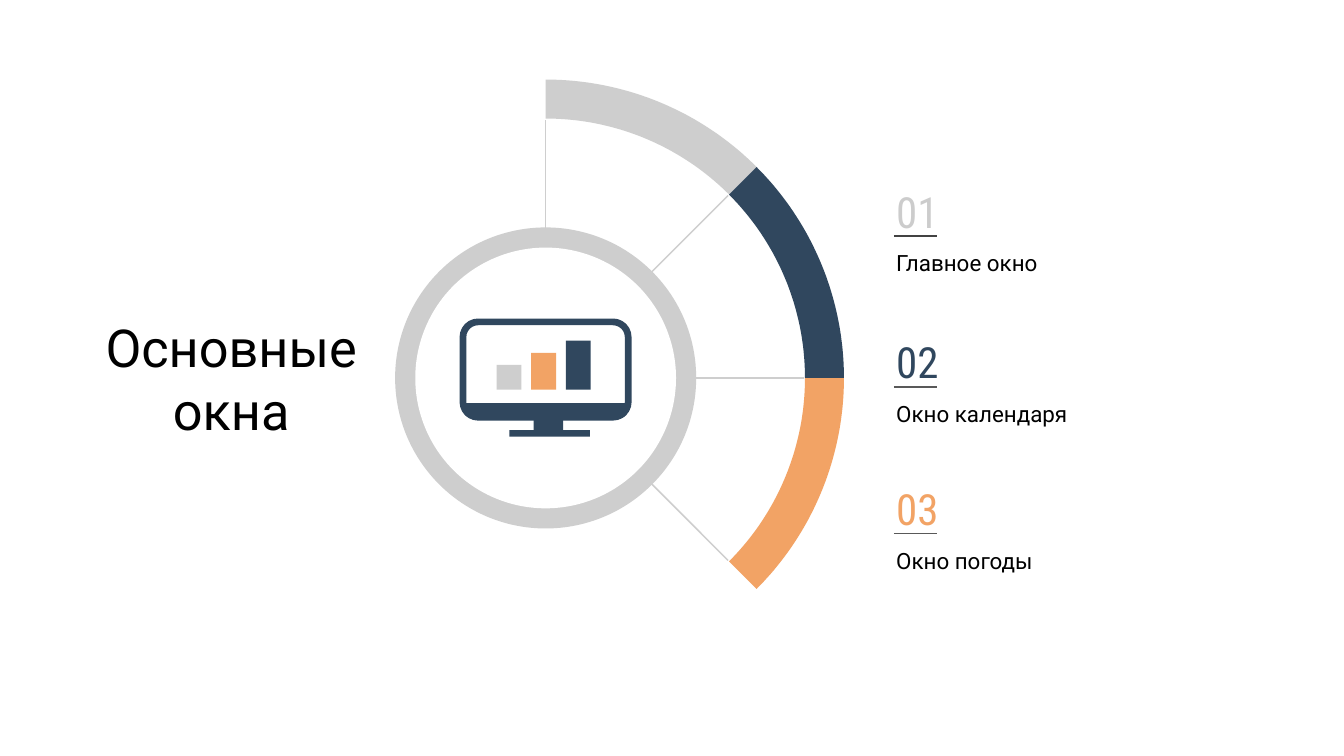
from dataclasses import dataclass
from math import cos, radians, sin

from lxml.etree import SubElement
from pptx import Presentation
from pptx.dml.color import RGBColor
from pptx.enum.shapes import MSO_CONNECTOR as Link, MSO_SHAPE as Kind
from pptx.enum.text import MSO_ANCHOR as Anchor, MSO_AUTO_SIZE as Fit, PP_ALIGN as Align
from pptx.oxml.ns import qn
from pptx.util import Inches, Pt

# Grid of 100 columns by 56.25 rows, each cell a tenth of an inch
COLS, ROWS, CELL = 100, 56.25, 0.1
INK = {"gray": "CECECE", "pale": "CCCCCC", "navy": "30475E", "orange": "F2A365",
       "white": "FFFFFF", "black": "000000", "dark": "434343", "rule": "595959"}
MID = (40.6, ROWS / 2)
INNER, OUTER = 19.3, 22.2
HUB, FACE = 11.2, 9.7


@dataclass
class Box:
    col: float
    row: float
    wide: float
    high: float


@dataclass
class Item:
    num: str
    name: str
    tint: str
    line: str
    top: float
    rule: float


@dataclass
class Sector:
    start: float
    tint: str


@dataclass
class Block:
    box: Box
    tint: str


ITEMS = [
    Item("01", "Главное окно", "pale", "dark", 13.8, 17.55),
    Item("02", "Окно календаря", "navy", "rule", 24.95, 28.8),
    Item("03", "Окно погоды", "orange", "rule", 35.85, 39.7),
]
SECTORS = [Sector(-90, "gray"), Sector(-45, "navy"), Sector(0, "orange")]
STAND = [Block(Box(39.7, 30.2, 2.2, 2.1), "navy"), Block(Box(37.9, 32, 6, 0.5), "navy")]
BARS = [Block(Box(36.95 + 2.58 * i, 29 - high, 1.85, high), tint)
        for i, (high, tint) in enumerate([(1.85, "gray"), (2.75, "orange"), (3.65, "navy")])]


def size(cells: float) -> int:
    return Inches(cells * CELL)


def color(name: str) -> RGBColor:
    return RGBColor.from_string(INK[name])


def frame(box: Box) -> list[int]:
    return [size(n) for n in (box.col, box.row, box.wide, box.high)]


def polar(radius: float, angle: float) -> tuple[float, float]:
    turn = radians(angle)
    return MID[0] + radius * cos(turn), MID[1] + radius * sin(turn)


def paint(shape, tint: str) -> None:
    shape.shadow.inherit = False
    shape.fill.solid()
    shape.fill.fore_color.rgb = color(tint)
    shape.line.fill.background()


def solid(kind: Kind, box: Box, tint: str):
    shape = shapes.add_shape(kind, *frame(box))
    paint(shape, tint)
    return shape


def disc(radius: float, tint: str) -> None:
    solid(Kind.OVAL, Box(MID[0] - radius, MID[1] - radius, 2 * radius, 2 * radius), tint)


def arc(part: Sector, sweep: int = 45) -> None:
    turns = [part.start + step for step in range(sweep + 1)]
    points = [polar(OUTER, turn) for turn in turns]
    points += [polar(INNER, turn) for turn in reversed(turns)]
    spots = [(size(x), size(y)) for x, y in points]
    shape = shapes.build_freeform(*spots[0], scale=1.0)
    shape.add_line_segments(spots[1:], close=True)
    paint(shape.convert_to_shape(), part.tint)


def rule(start: tuple[float, float], end: tuple[float, float], tint: str, width: float) -> None:
    line = shapes.add_connector(Link.STRAIGHT, *[size(n) for n in (*start, *end)])
    line.line.color.rgb = color(tint)
    line.line.width = Pt(width)
    SubElement(line._element.spPr, qn("a:effectLst"))


def write(shape, text: str, points: float, tint: str, font: str = "Roboto",
          anchor: Anchor = Anchor.MIDDLE, align: Align = Align.LEFT) -> None:
    body = shape.text_frame
    body.text = text
    body.word_wrap = True
    body.auto_size = Fit.NONE
    body.vertical_anchor = anchor
    body.margin_left = body.margin_right = body.margin_top = body.margin_bottom = size(1)
    para = body.paragraphs[0]
    para.alignment = align
    run = para.runs[0].font
    run.name, run.size, run.color.rgb = font, Pt(points), color(tint)


def label(item: Item) -> None:
    num = shapes.add_textbox(*frame(Box(65.7, item.top, 26.4, 3.9)))
    write(num, item.num, 23, item.tint, "Roboto Condensed")
    name = shapes.add_textbox(*frame(Box(65.7, item.rule, 26.4, 5)))
    write(name, item.name, 12, "black", anchor=Anchor.TOP)
    rule((66.5, item.rule), (69.7, item.rule), item.line, 0.75)


deck = Presentation()
deck.slide_width, deck.slide_height = size(COLS), size(ROWS)
slide = deck.slides.add_slide(deck.slide_layouts[5])
shapes = slide.shapes

# Title
title = shapes.title
title.left, title.top, title.width, title.height = frame(Box(5, 14.6, 24.4, 27.1))
write(title, "Основные окна", 28, "black", align=Align.CENTER)

# Spokes, arc and hub
for angle in range(-90, 46, 45):
    rule(polar(10.7, angle), polar(19.2, angle), "gray", 0.81)
for sector in SECTORS:
    arc(sector)
disc(HUB, "gray")
disc(FACE, "white")

# Monitor with a bar chart icon
screen = solid(Kind.ROUNDED_RECTANGLE, Box(34.45, 23.95, 12.3, 7.1), "white")
screen.adjustments[0] = 0.16
screen.line.color.rgb = color("navy")
screen.line.width = Pt(3.6)
chin = solid(Kind.ROUND_2_SAME_RECTANGLE, Box(34.5, 30, 12.2, 1.1), "navy")
chin.adjustments[0], chin.adjustments[1] = 0, 0.5
for block in STAND + BARS:
    solid(Kind.RECTANGLE, block.box, block.tint)

# Numbered windows
for item in ITEMS:
    label(item)

deck.save("out.pptx")
